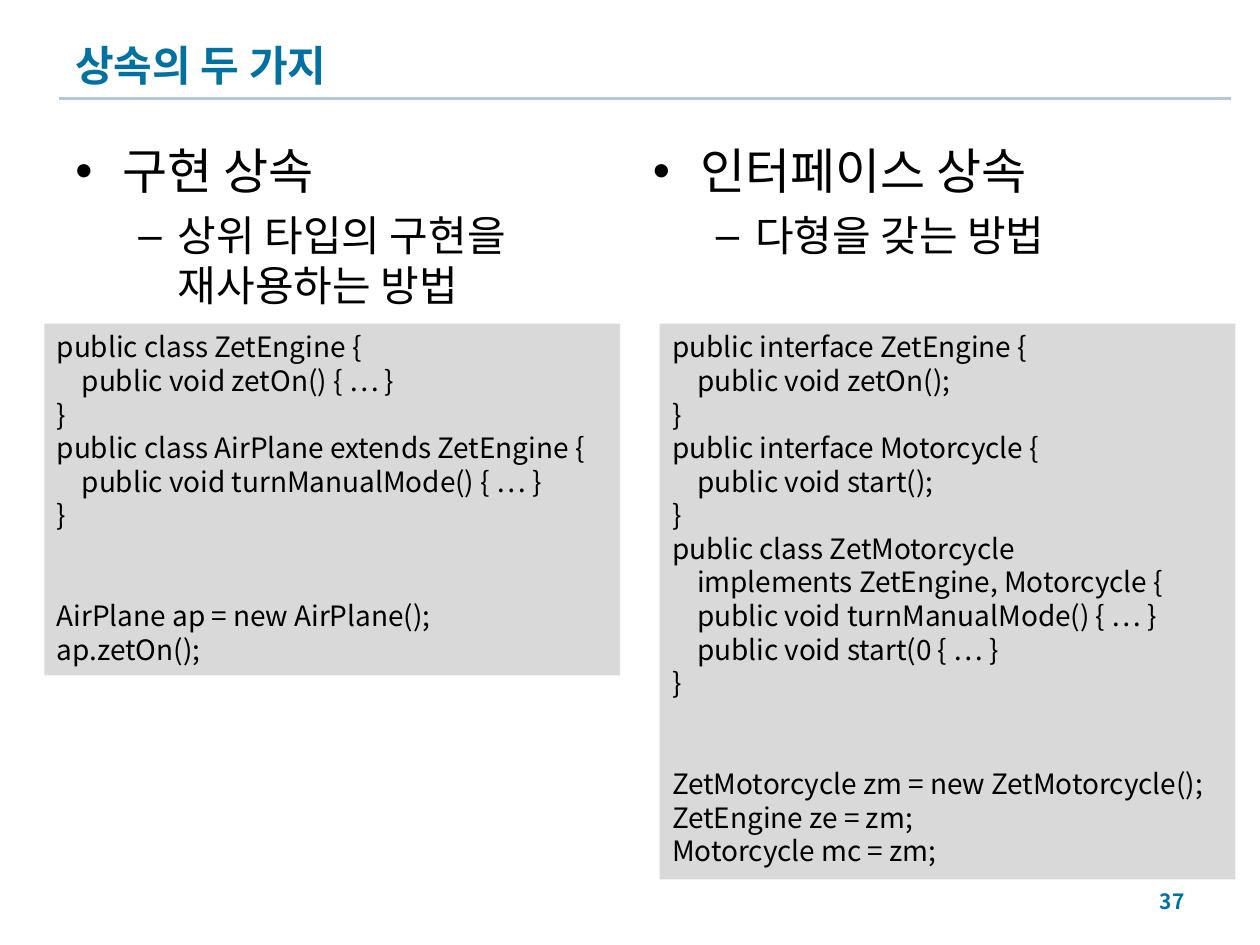
from dataclasses import dataclass

from lxml.etree import SubElement
from pptx import Presentation
from pptx.dml.color import RGBColor
from pptx.enum.shapes import MSO_CONNECTOR, MSO_SHAPE
from pptx.enum.text import MSO_ANCHOR, PP_ALIGN
from pptx.oxml.ns import qn
from pptx.util import Pt

BLUE = RGBColor(0x00, 0x71, 0xA0)
RULE_GREY = RGBColor(0xB4, 0xC8, 0xD7)
CODE_GREY = RGBColor(0xD9, 0xD9, 0xD9)
BLACK = RGBColor(0x00, 0x00, 0x00)
LATIN_TITLE = "Arial"
KOREAN = "Noto Sans CJK KR"
CODE_GAP = 38.4  # two code lines


@dataclass
class Box:
    left: float
    top: float
    width: float
    height: float

    def lengths(self) -> tuple:
        return Pt(self.left), Pt(self.top), Pt(self.width), Pt(self.height)


@dataclass
class TextStyle:
    size: float
    color: RGBColor = BLACK
    bold: bool = False
    font: str = KOREAN


@dataclass
class Bullet:
    mark: str
    margin: float
    hanging: float
    before: float
    style: TextStyle


@dataclass
class Column:
    heading: str
    detail: str
    outline_box: Box
    code_box: Box
    declarations: str
    usage: str


TITLE = TextStyle(24, BLUE, True, LATIN_TITLE)
NUMBER = TextStyle(12, BLUE, True)
CODE = TextStyle(16)
HEADING = Bullet("•", 27, 27, 0, TextStyle(28))
DETAIL = Bullet("–", 58.5, 22.5, 5.6, TextStyle(24))

COLUMNS = [
    Column(
        "구현 상속",
        "상위 타입의 구현을 재사용하는 방법",
        Box(36, 77, 318, 405),
        Box(25.4, 185, 329, 201),
        """public class ZetEngine {
    public void zetOn() { … }
}
public class AirPlane extends ZetEngine {
    public void turnManualMode() { … }
}""",
        """AirPlane ap = new AirPlane();
ap.zetOn();""",
    ),
    Column(
        "인터페이스 상속",
        "다형을 갖는 방법",
        Box(366, 77, 318, 405),
        Box(377, 185, 329, 317.5),
        """public interface ZetEngine {
    public void zetOn();
}
public interface Motorcycle {
    public void start();
}
public class ZetMotorcycle
    implements ZetEngine, Motorcycle {
    public void turnManualMode() { … }
    public void start(0 { … }
}""",
        """ZetMotorcycle zm = new ZetMotorcycle();
ZetEngine ze = zm;
Motorcycle mc = zm;""",
    ),
]


def add_span(para, text: str, style: TextStyle) -> None:
    span = para.add_run()
    span.text = text
    span.font.size = Pt(style.size)
    span.font.bold = style.bold
    span.font.name = style.font
    span.font.color.rgb = style.color
    SubElement(span.font._element, qn("a:ea")).set("typeface", KOREAN)


def next_para(frame, first: bool):
    return frame.paragraphs[0] if first else frame.add_paragraph()


def add_text_box(page, box: Box, anchor=MSO_ANCHOR.TOP):
    frame = page.shapes.add_textbox(*box.lengths()).text_frame
    frame.word_wrap = True
    frame.vertical_anchor = anchor
    return frame


def add_label(page, box: Box, text: str, style: TextStyle, align=PP_ALIGN.LEFT) -> None:
    para = add_text_box(page, box, MSO_ANCHOR.MIDDLE).paragraphs[0]
    para.alignment = align
    add_span(para, text, style)


def add_bullet(para, text: str, bullet: Bullet) -> None:
    properties = para._p.get_or_add_pPr()
    properties.set("marL", str(Pt(bullet.margin)))
    properties.set("indent", str(-Pt(bullet.hanging)))
    SubElement(properties, qn("a:buFont")).set("typeface", "Arial")
    SubElement(properties, qn("a:buChar")).set("char", bullet.mark)
    if bullet.before:
        para.space_before = Pt(bullet.before)
    add_span(para, text, bullet.style)


def add_outline(page, column: Column) -> None:
    frame = add_text_box(page, column.outline_box)
    add_bullet(next_para(frame, True), column.heading, HEADING)
    add_bullet(next_para(frame, False), column.detail, DETAIL)


def add_code(page, column: Column) -> None:
    panel = page.shapes.add_shape(MSO_SHAPE.RECTANGLE, *column.code_box.lengths())
    panel.shadow.inherit = False
    panel.fill.solid()
    panel.fill.fore_color.rgb = CODE_GREY
    panel.line.fill.background()
    frame = panel.text_frame
    frame.word_wrap = True
    frame.vertical_anchor = MSO_ANCHOR.TOP
    declarations = column.declarations.splitlines()
    for index, line in enumerate(declarations + column.usage.splitlines()):
        para = next_para(frame, index == 0)
        para.alignment = PP_ALIGN.LEFT
        if index == len(declarations):
            para.space_before = Pt(CODE_GAP)
        add_span(para, line, CODE)


def add_rule(page, left: float, right: float, top: float) -> None:
    rule = page.shapes.add_connector(
        MSO_CONNECTOR.STRAIGHT, Pt(left), Pt(top), Pt(right), Pt(top))
    rule.line.color.rgb = RULE_GREY
    rule.line.width = Pt(1.5)
    SubElement(rule._element.spPr, qn("a:effectLst"))


def main() -> None:
    deck = Presentation()
    deck.slide_width, deck.slide_height = Pt(720), Pt(540)
    page = deck.slides.add_slide(deck.slide_layouts[6])

    # Title and rule
    add_rule(page, 33.8, 703.4, 56.2)
    add_label(page, Box(36, 16.6, 648, 40.3), "상속의 두 가지", TITLE)

    # Outlines, then the code panels over them
    for column in COLUMNS:
        add_outline(page, column)
    add_label(page, Box(516, 500.4, 168, 28.8), "37", NUMBER, PP_ALIGN.RIGHT)
    for column in COLUMNS:
        add_code(page, column)

    deck.save("out.pptx")


if __name__ == "__main__":
    main()
